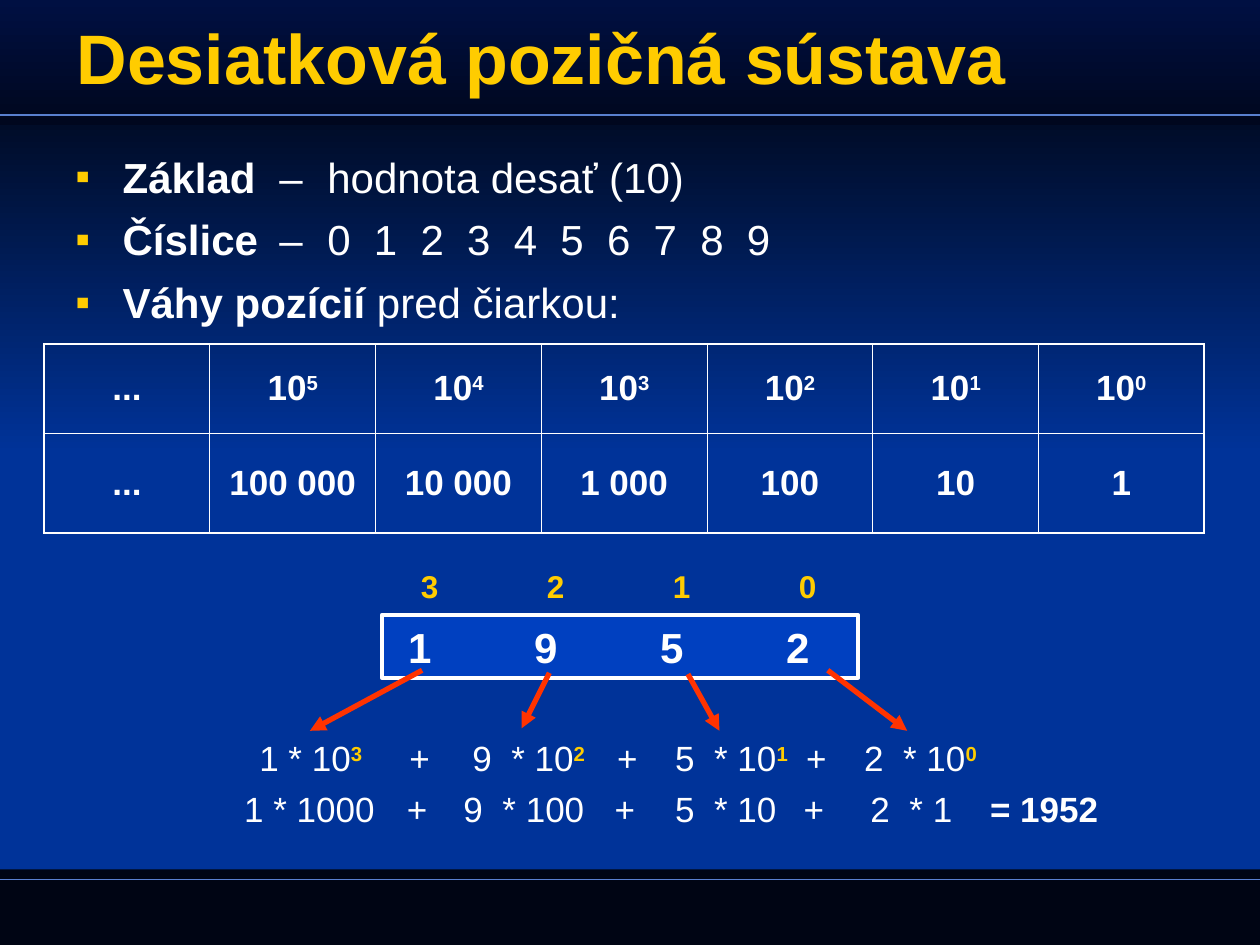
from dataclasses import dataclass

from lxml.etree import SubElement
from pptx import Presentation
from pptx.dml.color import RGBColor
from pptx.enum.shapes import MSO_CONNECTOR, MSO_SHAPE
from pptx.enum.text import MSO_ANCHOR, PP_ALIGN
from pptx.oxml.ns import qn
from pptx.util import Inches, Pt


@dataclass(frozen=True)
class Theme:
    font: str = "Arial"
    background: str = "003399"
    dark: str = "000514"
    header_top: str = "001042"
    header_bottom: str = "00071E"
    rule: str = "5980CF"
    accent: str = "FFCC00"
    text: str = "FFFFFF"
    number_fill: str = "0040C0"
    arrow: str = "FF3300"
    title_size: int = 40
    body_size: int = 24
    term_size: int = 20
    index_size: int = 18


THEME = Theme()
COLS, ROWS = 100, 75  # the slide's grid; one unit is a tenth of an inch


def units(n):
    return Inches(n / 10)


@dataclass(frozen=True)
class Box:
    """An area of the slide in grid units."""
    x: float
    y: float
    w: float
    h: float

    def inner(self, dx, dy, w, h):
        return Box(self.x + dx, self.y + dy, w, h)

    def emu(self):
        return [units(n) for n in (self.x, self.y, self.w, self.h)]


def rgb(color):
    return RGBColor.from_string(color)


def add_run(p, text, size, color=THEME.text, bold=False, raised=False):
    r = p.add_run()
    r.text = text
    r.font.name, r.font.size, r.font.bold = THEME.font, Pt(size), bold
    r.font.color.rgb = rgb(color)
    if raised:
        r.font._element.set("baseline", "30000")


def add_tabs(p, stops):
    """Set left tab stops, in grid units from the text edge."""
    tabs = SubElement(p._p.get_or_add_pPr(), qn("a:tabLst"))
    for stop in stops:
        SubElement(tabs, qn("a:tab"), pos=str(units(stop)), algn="l")


def add_text(s, box, wrap=True):
    tf = s.shapes.add_textbox(*box.emu()).text_frame
    tf.word_wrap = wrap
    return tf


def add_rect(s, box, *colors):
    """Add a plain rectangle; two colours make a gradient from top to bottom."""
    sp = s.shapes.add_shape(MSO_SHAPE.RECTANGLE, *box.emu())
    sp.shadow.inherit = False
    sp.line.fill.background()
    if len(colors) == 1:
        sp.fill.solid()
        sp.fill.fore_color.rgb = rgb(colors[0])
    else:
        sp.fill.gradient()
        sp.fill.gradient_angle = 270
        for stop, color, position in zip(sp.fill.gradient_stops, colors, (0, 1)):
            stop.color.rgb, stop.position = rgb(color), position
    return sp


def add_line(s, start, end, color, width, arrow=False):
    points = [units(n) for n in (*start, *end)]
    line = s.shapes.add_connector(MSO_CONNECTOR.STRAIGHT, *points)
    line.line.color.rgb, line.line.width = rgb(color), Pt(width)
    if arrow:
        SubElement(line.line._get_or_add_ln(), qn("a:tailEnd"), type="triangle")
    SubElement(line._element.spPr, qn("a:effectLst"))


def draw_backdrop(s, box):
    s.background.fill.solid()
    s.background.fill.fore_color.rgb = rgb(THEME.background)
    add_rect(s, box.inner(0, 69, box.w, 6), THEME.dark)
    add_rect(s, box.inner(0, 5.2, box.w, 30.8), THEME.dark, THEME.background)
    add_rect(s, box.inner(0, 0, box.w, 9.9), THEME.header_top, THEME.header_bottom)
    for y in (9.1, 69.8):
        add_line(s, (box.x, box.y + y), (box.x + box.w, box.y + y), THEME.rule, 1)


def draw_title(s, box):
    tf = add_text(s, box)
    tf.vertical_anchor = MSO_ANCHOR.MIDDLE
    add_run(tf.paragraphs[0], "Desiatková pozičná sústava", THEME.title_size,
            THEME.accent, bold=True)


def draw_bullets(s, box):
    digits = "\t".join(str(d) for d in range(10))
    items = [("Základ", "\t–\thodnota desať (10)"),
             ("Číslice", "\t–\t" + digits),
             ("Váhy pozícií", " pred čiarkou:")]
    tf = add_text(s, box)
    for i, (term, rest) in enumerate(items):
        p = tf.add_paragraph() if i else tf.paragraphs[0]
        if i:
            p.space_before = Pt(7)
        pPr = p._p.get_or_add_pPr()
        pPr.set("marL", str(units(3.75)))
        pPr.set("indent", str(-units(3.75)))
        SubElement(SubElement(pPr, qn("a:buClr")), qn("a:srgbClr"), val=THEME.accent)
        SubElement(pPr, qn("a:buFont"), typeface=THEME.font)
        SubElement(pPr, qn("a:buChar"), char="▪")
        add_tabs(p, [16.2] + [20 + 3.7 * d for d in range(10)])
        add_run(p, term, THEME.body_size, bold=True)
        add_run(p, rest, THEME.body_size)


def set_borders(cell, outer):
    """Draw all four borders, heavier on the sides named in outer."""
    tcPr = cell._tc.get_or_add_tcPr()
    for side in "LRTB":
        width = Pt(1.08 if side in outer else 0.45)
        ln = SubElement(tcPr, qn("a:ln" + side), w=str(width))
        SubElement(SubElement(ln, qn("a:solidFill")), qn("a:srgbClr"), val=THEME.text)


def draw_weights(s, box):
    powers = range(5, -1, -1)
    rows = [[("...", "")] + [("10", str(n)) for n in powers],
            [("...", "")] + [(f"{10 ** n:,}".replace(",", " "), "") for n in powers]]
    last = len(rows[0]) - 1
    table = s.shapes.add_table(len(rows), last + 1, *box.emu()).table
    table.first_row = table.horz_banding = False
    for row, height in zip(table.rows, (7.1, 7.9)):
        row.height = units(height)
    for i, row in enumerate(rows):
        for j, (base, power) in enumerate(row):
            cell = table.cell(i, j)
            set_borders(cell, "TB"[i] + {0: "L", last: "R"}.get(j, ""))
            cell.fill.background()
            cell.vertical_anchor = MSO_ANCHOR.MIDDLE
            cell.margin_left = cell.margin_right = units(0.4)
            p = cell.text_frame.paragraphs[0]
            p.alignment = PP_ALIGN.CENTER
            add_run(p, base, THEME.term_size, bold=True)
            if power:
                add_run(p, power, THEME.term_size, bold=True, raised=True)


def draw_number(s, box):
    """Draw the framed number with the index of each position above it."""
    frame = add_rect(s, box.inner(0, 4.3, 37.8, 5), THEME.number_fill)
    frame.line.color.rgb, frame.line.width = rgb(THEME.text), Pt(2.25)
    index = add_text(s, box.inner(0, 0, 37.8, 4))
    for tf, digits, inset, size, color in (
            (frame.text_frame, "1952", 2.1, THEME.body_size, THEME.text),
            (index, "3210", 3.1, THEME.index_size, THEME.accent)):
        tf.margin_left = units(inset)
        p = tf.paragraphs[0]
        p.alignment = PP_ALIGN.LEFT
        add_tabs(p, (10, 20, 30))
        add_run(p, "\t".join(digits), size, color, bold=True)


def draw_expansion(s, box):
    """Draw the two sums, with an arrow from each digit to its term."""
    powers = ["1 * 10", "9\t* 10", "5\t* 10", "2\t* 10"]
    values = ["1 * 1000", "9\t* 100", "5\t* 10", "2\t* 1"]
    sums = [(4.8, powers, "3210", (1.2, 18.1, 34.2, 49.2), (13.1, 29.6, 44.6)),
            (8.8, values, [""] * 4, (0, 17.4, 34.2, 49.7), (12.9, 29.4, 44.4))]
    for y, terms, exponents, term_xs, plus_xs in sums:
        parts = [*zip(term_xs, terms, exponents), *((x, "+", "") for x in plus_xs)]
        for x, term, exponent in parts:
            width = 3.9 if term == "+" else 13.4
            p = add_text(s, box.inner(x, y, width, 4.4)).paragraphs[0]
            add_tabs(p, [3.1])
            add_run(p, term, THEME.term_size)
            if exponent:
                add_run(p, exponent, THEME.term_size, THEME.accent, True, True)
    result = add_text(s, box.inner(59.2, 8.8, 12.6, 4.4))
    add_run(result.paragraphs[0], "= 1952", THEME.term_size, bold=True)
    for x1, y1, x2, y2 in ((15.1, 0, 6.2, 4.8), (25.2, 0.2, 23, 4.6),
                           (36.2, 0.3, 38.7, 4.8), (47.3, 0, 53.6, 4.8)):
        add_line(s, (box.x + x1, box.y + y1), (box.x + x2, box.y + y2),
                 THEME.arrow, 3, arrow=True)


def main():
    prs = Presentation()
    prs.slide_width, prs.slide_height = units(COLS), units(ROWS)
    s = prs.slides.add_slide(prs.slide_layouts[6])
    draw_backdrop(s, Box(0, 0, COLS, ROWS))
    draw_title(s, Box(5.1, 0.6, 90, 7.7))
    draw_bullets(s, Box(5, 11.5, 90, 15))
    draw_weights(s, Box(3.5, 27.3, 92.1, 15))
    draw_number(s, Box(30.3, 44.5, 37.8, 9.3))
    draw_expansion(s, Box(18.4, 53.2, 71.8, 13.2))
    prs.save("out.pptx")


if __name__ == "__main__":
    main()
